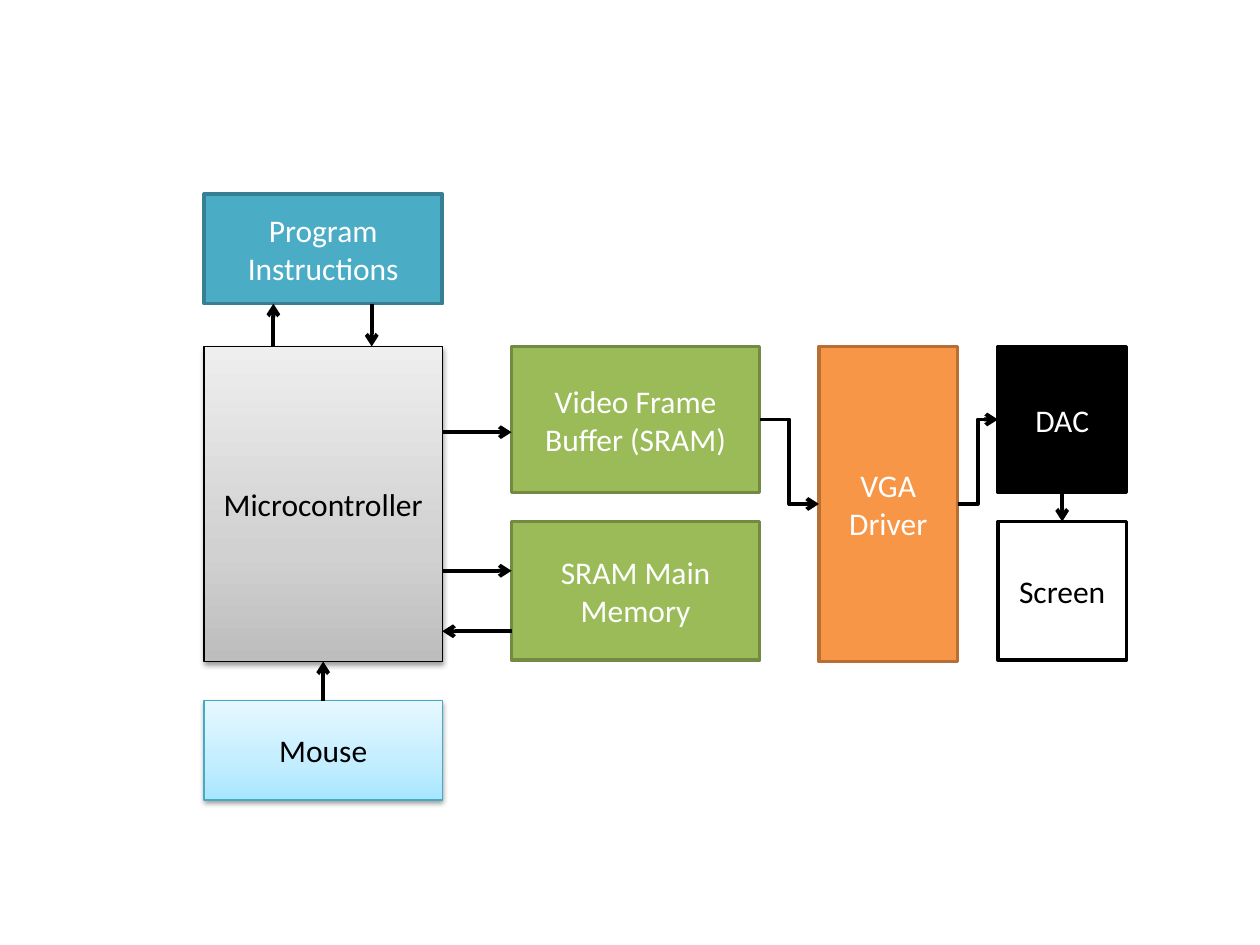
from dataclasses import dataclass

from lxml import etree
from pptx import Presentation
from pptx.dml.color import RGBColor as Rgb
from pptx.enum.shapes import MSO_CONNECTOR as Link, MSO_SHAPE as Shape
from pptx.enum.text import MSO_ANCHOR as Anchor, PP_ALIGN as Align
from pptx.oxml import parse_xml
from pptx.oxml.ns import nsdecls, qn
from pptx.util import Inches, Pt


@dataclass(frozen=True)
class Theme:
    font: str = "Calibri"
    size: int = 18
    dark: str = "000000"
    light: str = "FFFFFF"
    green: tuple = ("9BBB59", "738A42")
    teal: tuple = ("4BACC6", "377F92")
    orange: tuple = ("F79646", "B76F34")
    black: tuple = ("000000", "000000")
    white: tuple = ("FFFFFF", "000000")
    gray: tuple = (("BDBDBD", "D1D1D1", "EEEEEE"), "000000")
    sky: tuple = (("A7E6FF", "C1EDFF", "E7F8FF"), "46AAC5")
    stops: tuple = (0, 35, 100)
    outline: float = 2
    thin_outline: float = 0.75
    arrow: float = 2.25


# Grid: (start, extent) of each column and row, in inches
COLUMNS = {"control": (1.62, 1.89), "memory": (4.06, 1.97),
           "driver": (6.5, 1.1), "output": (7.92, 1.02)}
ROWS = {"program": (1.54, 0.87), "full": (2.75, 2.5), "upper": (2.75, 1.16),
        "lower": (4.14, 1.1), "input": (5.56, 0.79)}
TOP, LEFT, BOTTOM, RIGHT = range(4)  # connection sites of a rectangle


class Diagram:
    def __init__(self, slide, theme):
        self.slide, self.theme = slide, theme

    def box(self, text, column, row, colors, ink):
        """Centred label in a grid cell; three fill colours make a raised box."""
        (left, width), (top, height) = COLUMNS[column], ROWS[row]
        box = self.slide.shapes.add_shape(
            Shape.RECTANGLE, *map(Inches, (left, top, width, height)))
        fill, line = colors
        raised = isinstance(fill, tuple)
        box.shadow.inherit = False
        box.line.color.rgb = Rgb.from_string(line)
        box.line.width = Pt(self.theme.thin_outline if raised else self.theme.outline)
        if raised:
            self.raise_box(box, fill)
        else:
            box.fill.solid()
            box.fill.fore_color.rgb = Rgb.from_string(fill)
        frame = box.text_frame
        frame.word_wrap = True
        frame.vertical_anchor = Anchor.MIDDLE
        para = frame.paragraphs[0]
        para.text = text
        para.alignment = Align.CENTER
        para.font.name, para.font.size = self.theme.font, Pt(self.theme.size)
        para.font.color.rgb = Rgb.from_string(ink)
        return box

    def raise_box(self, box, colors):
        """Upward gradient and a soft shadow below."""
        stops = "".join(
            f'<a:gs pos="{stop * 1000}"><a:srgbClr val="{color}"/></a:gs>'
            for stop, color in zip(self.theme.stops, colors))
        box.fill.gradient()
        gradient = box._element.spPr.find(qn("a:gradFill"))
        gradient.replace(gradient.find(qn("a:gsLst")), parse_xml(
            f'<a:gsLst {nsdecls("a")}>{stops}</a:gsLst>'))
        box.fill.gradient_angle = 90
        box._element.spPr.find(qn("a:effectLst")).append(parse_xml(
            f'<a:outerShdw {nsdecls("a")} blurRad="{Pt(3.1)}" dist="{Pt(1.6)}" '
            'dir="5400000" rotWithShape="0"><a:srgbClr val="000000">'
            '<a:alpha val="38000"/></a:srgbClr></a:outerShdw>'))

    def arrow(self, start=(0, 0), end=(0, 0), kind=Link.STRAIGHT):
        arrow = self.slide.shapes.add_connector(kind, *map(Inches, (*start, *end)))
        arrow.line.color.rgb = Rgb.from_string(self.theme.dark)
        arrow.line.width = Pt(self.theme.arrow)
        etree.SubElement(arrow.line._get_or_add_ln(), qn("a:tailEnd"), type="arrow")
        etree.SubElement(arrow._element.spPr, qn("a:effectLst"))
        return arrow

    def link(self, source, source_side, target, target_side, kind=Link.STRAIGHT):
        """Arrow attached to the sides of two boxes."""
        arrow = self.arrow(kind=kind)
        arrow.begin_connect(source, source_side)
        arrow.end_connect(target, target_side)


deck = Presentation()
deck.slide_width, deck.slide_height = Inches(10), Inches(7.5)
theme = Theme()
diagram = Diagram(deck.slides.add_slide(deck.slide_layouts[6]), theme)

# Components
controller, frame_buffer, memory, program, driver, dac, screen, mouse = [
    diagram.box(*component) for component in (
        ("Microcontroller", "control", "full", theme.gray, theme.dark),
        ("Video Frame Buffer (SRAM)", "memory", "upper", theme.green, theme.light),
        ("SRAM Main Memory", "memory", "lower", theme.green, theme.light),
        ("Program Instructions", "control", "program", theme.teal, theme.light),
        ("VGA Driver", "driver", "full", theme.orange, theme.light),
        ("DAC", "output", "upper", theme.black, theme.light),
        ("Screen", "output", "lower", theme.white, theme.dark),
        ("Mouse", "control", "input", theme.sky, theme.dark))]

# Microcontroller to and from the memories
control_right, memory_left = sum(COLUMNS["control"]), COLUMNS["memory"][0]
for y, outward in ((3.43, True), (4.53, True), (5.01, False)):
    ends = (control_right, y), (memory_left, y)
    diagram.arrow(*(ends if outward else ends[::-1]))

# Microcontroller to and from the program
program_bottom, control_top = sum(ROWS["program"]), ROWS["full"][0]
diagram.arrow((2.17, control_top), (2.17, program_bottom))
diagram.arrow((2.95, program_bottom), (2.95, control_top))

# Mouse input and video output chain
diagram.link(mouse, TOP, controller, BOTTOM)
diagram.link(frame_buffer, RIGHT, driver, LEFT, Link.ELBOW)
diagram.link(driver, RIGHT, dac, LEFT, Link.ELBOW)
diagram.link(dac, BOTTOM, screen, TOP)

deck.save("out.pptx")
